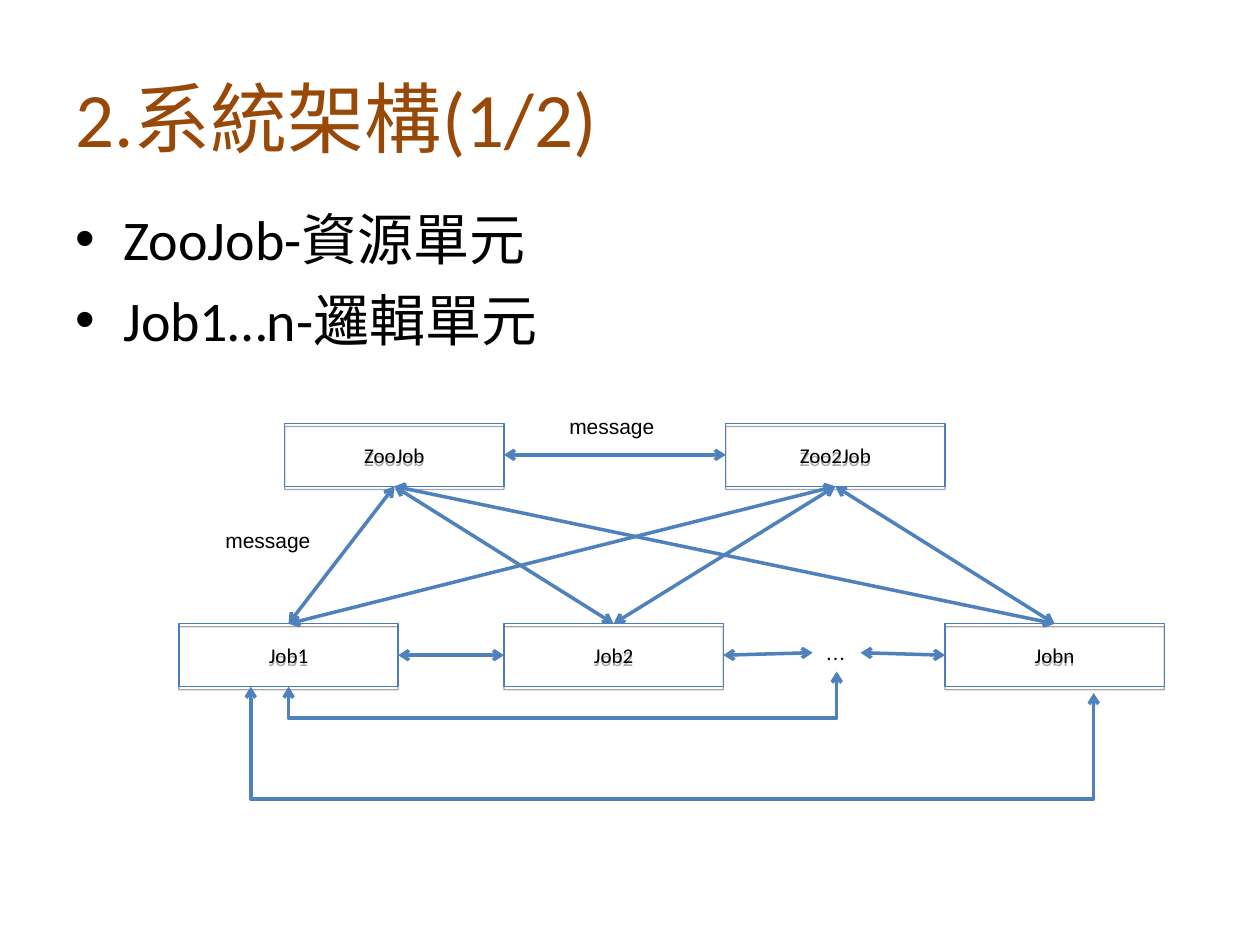
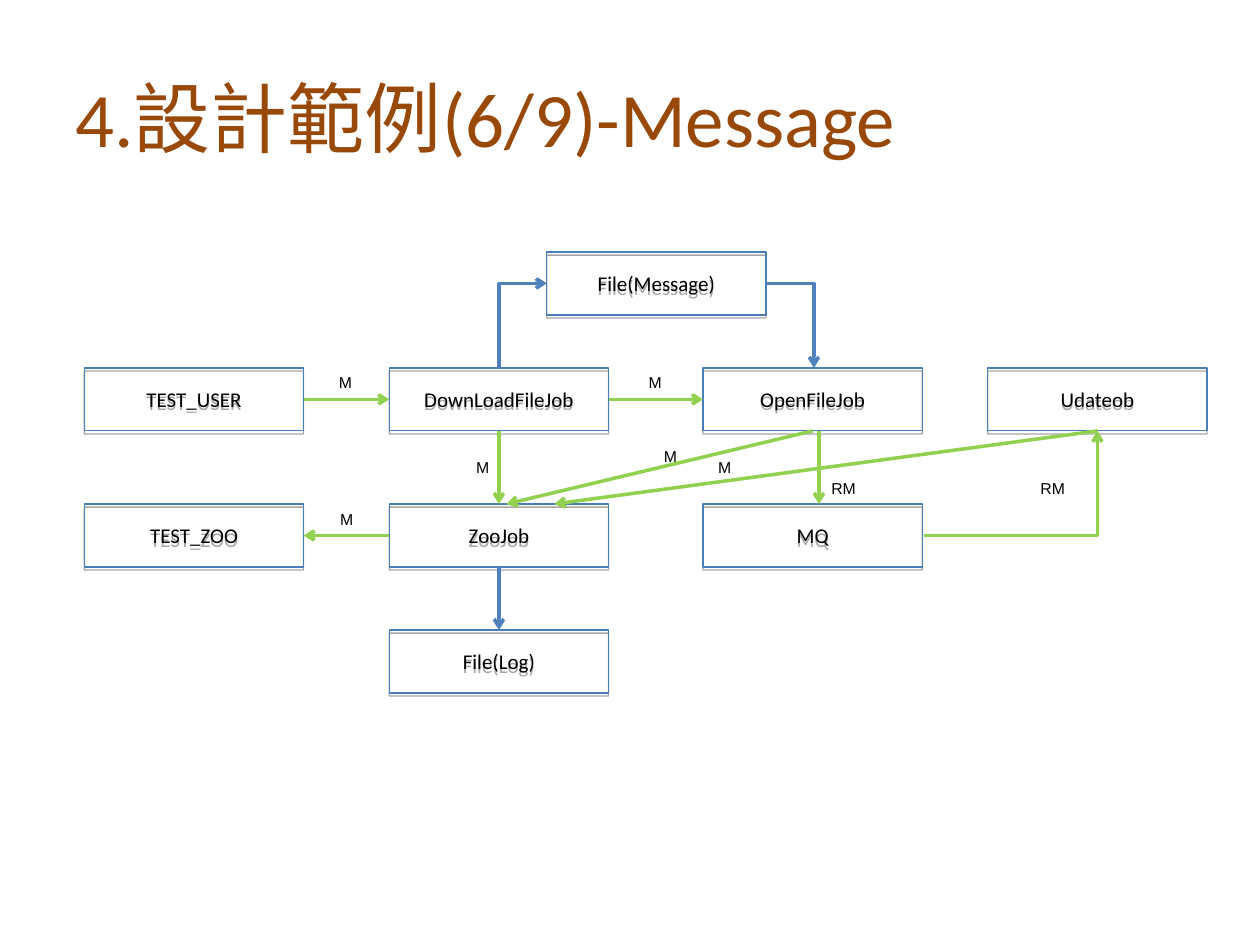
from lxml.etree import SubElement
from pptx import Presentation
from pptx.dml.color import RGBColor
from pptx.enum.shapes import MSO_CONNECTOR, MSO_SHAPE
from pptx.enum.text import MSO_ANCHOR, PP_ALIGN
from pptx.oxml.ns import qn
from pptx.util import Inches, Pt

BROWN = RGBColor(0x98, 0x48, 0x07)
BLACK = RGBColor(0, 0, 0)
EDGE = RGBColor(0x4A, 0x7E, 0xBB)
BLUE = RGBColor(0x4F, 0x81, 0xBD)
GREEN = RGBColor(0x92, 0xD0, 0x50)
BOX_W, BOX_H = 1.74, 0.5
TOP, LEFT, BOTTOM, RIGHT = range(4)


def style(para, size, color=BLACK, face="Calibri"):
    font = para.font
    font.size, font.name = Pt(size), face
    font.color.rgb = color


def add_text(slide, text, x, y, w, h, wrap=True):
    area = slide.shapes.add_textbox(Inches(x), Inches(y), Inches(w), Inches(h))
    frame = area.text_frame
    frame.word_wrap = wrap
    frame.text = text
    return frame


def add_page(deck, title):
    slide = deck.slides.add_slide(deck.slide_layouts[6])
    frame = add_text(slide, title, 0.5, 0.3, 9, 1.25)
    frame.vertical_anchor = MSO_ANCHOR.MIDDLE
    style(frame.paragraphs[0], 44, BROWN)
    return slide


def add_points(slide, lines):
    frame = add_text(slide, "\n".join(lines), 0.5, 1.57, 9, 4.25)
    for index, para in enumerate(frame.paragraphs):
        if index:
            para.space_before = Pt(8)
        props = para._p.get_or_add_pPr()
        props.set("marL", str(Inches(0.38)))
        props.set("indent", str(-Inches(0.38)))
        SubElement(props, qn("a:buFont")).set("typeface", "Arial")
        SubElement(props, qn("a:buChar")).set("char", "•")
        style(para, 32)


def add_label(slide, text, x, y, w, h=0.25, size=9):
    frame = add_text(slide, text, x, y, w, h, False)
    style(frame.paragraphs[0], size, face="Arial")


def add_box(slide, text, x, y):
    box = slide.shapes.add_shape(
        MSO_SHAPE.RECTANGLE, Inches(x), Inches(y), Inches(BOX_W), Inches(BOX_H))
    box.fill.background()
    box.line.color.rgb = EDGE
    box.line.width = Pt(0.75)
    box.shadow.inherit = False
    effects = box._element.spPr.find(qn("a:effectLst"))
    shade = SubElement(effects, qn("a:outerShdw"), dist=str(Pt(1.8)),
                       dir="5400000", rotWithShape="0")
    tint = SubElement(shade, qn("a:srgbClr"), val="000000")
    SubElement(tint, qn("a:alpha"), val="35000")
    frame = box.text_frame
    frame.text = text
    frame.vertical_anchor = MSO_ANCHOR.MIDDLE
    para = frame.paragraphs[0]
    para.alignment = PP_ALIGN.CENTER
    style(para, 12)
    return box


def add_boxes(slide, spots):
    return [add_box(slide, *spot) for spot in spots]


def add_line(slide, kind, ends, color, both):
    line = slide.shapes.add_connector(kind, *[Inches(value) for value in ends])
    line.line.color.rgb = color
    line.line.width = Pt(2)
    stroke = line.line._get_or_add_ln()
    if both:
        SubElement(stroke, qn("a:headEnd"), type="arrow")
    SubElement(stroke, qn("a:tailEnd"), type="arrow")
    SubElement(line._element.spPr, qn("a:effectLst"))
    return line


def add_link(slide, start, end, color=BLUE, both=False):
    line = add_line(slide, MSO_CONNECTOR.STRAIGHT, (0, 0, 1, 1), color, both)
    if isinstance(start[0], float):
        line.begin_x, line.begin_y = Inches(start[0]), Inches(start[1])
    else:
        line.begin_connect(*start)
    if isinstance(end[0], float):
        line.end_x, line.end_y = Inches(end[0]), Inches(end[1])
    else:
        line.end_connect(*end)


def add_elbow(slide, start, end, color=BLUE, upright=False, depth=None):
    (x1, y1), (x2, y2) = start, end
    wide, high = x2 - x1, abs(y2 - y1)
    rise = y1 > y2
    if upright:
        wide, high = high, wide
    left, top = (x1 + x2 - wide) / 2, (y1 + y2 - high) / 2
    line = add_line(slide, MSO_CONNECTOR.ELBOW,
                    (left, top, left + wide, top + high), color, depth is not None)
    props = line._element.spPr
    frame = props.find(qn("a:xfrm"))
    if upright:
        frame.set("rot", str((90 if rise else 270) * 60000))
        frame.set("flipH", "1")
    if rise:
        frame.set("flipV", "1")
    shape = props.find(qn("a:prstGeom"))
    if depth is None:
        shape.set("prst", "bentConnector2")
    else:
        bend = round((depth - y1) / (y2 - y1) * 100000)
        SubElement(shape.find(qn("a:avLst")), qn("a:gd"),
                   name="adj1", fmla=f"val {bend}")


def draw_system(deck):
    slide = add_page(deck, "2.系統架構(1/2)")
    add_points(slide, ["ZooJob-資源單元", "Job1…n-邏輯單元"])
    zoos = add_boxes(slide, [("ZooJob", 2.26, 3.36), ("Zoo2Job", 5.76, 3.36)])
    jobs = add_boxes(slide, [
        ("Job1", 1.42, 4.95), ("Job2", 4, 4.95), ("Jobn", 7.5, 4.95)])
    add_label(slide, "…", 6.45, 5.03, 0.38, 0.3, 12)
    for zoo in zoos:
        for job in jobs:
            add_link(slide, (job, TOP), (zoo, BOTTOM), both=True)
    for start, end in [
        ((zoos[0], RIGHT), (zoos[1], LEFT)),
        ((jobs[0], RIGHT), (jobs[1], LEFT)),
        ((jobs[1], RIGHT), (6.45, 5.18)),
        ((6.83, 5.18), (jobs[2], LEFT)),
    ]:
        add_link(slide, start, end, both=True)
    add_elbow(slide, (2.29, 5.45), (6.64, 5.33), upright=True, depth=5.7)
    add_elbow(slide, (1.99, 5.45), (8.68, 5.5), upright=True, depth=6.34)
    for x, y in [(4.42, 3.23), (1.69, 4.14)]:
        add_label(slide, "message", x, y, 0.9, 0.3, 12)


def draw_message(deck):
    slide = add_page(deck, "4.設計範例(6/9)-Message")
    cols, rows = (0.67, 3.09, 5.58, 7.84), (2.92, 4)
    user, load, opener, update = add_boxes(slide, [
        (name, x, rows[0]) for name, x in
        zip(("TEST_USER", "DownLoadFileJob", "OpenFileJob", "Udateob"), cols)])
    test, zoo, queue = add_boxes(slide, [
        (name, x, rows[1]) for name, x in zip(("TEST_ZOO", "ZooJob", "MQ"), cols)])
    add_box(slide, "File(Message)", 4.34, 2)
    log = add_box(slide, "File(Log)", cols[1], 5)
    for start, end in [
        ((user, RIGHT), (load, LEFT)),
        ((load, RIGHT), (opener, LEFT)),
        ((load, BOTTOM), (zoo, TOP)),
        ((zoo, LEFT), (test, RIGHT)),
        ((6.5, 3.42), (6.5, 4.0)),
        ((opener, BOTTOM), (4.02, 4.0)),
        ((update, BOTTOM), (4.4, 4.0)),
    ]:
        add_link(slide, start, end, GREEN)
    add_link(slide, (zoo, BOTTOM), (log, TOP))
    add_elbow(slide, (3.96, 2.92), (4.34, 2.25), upright=True)
    add_elbow(slide, (6.08, 2.25), (6.46, 2.92))
    add_elbow(slide, (7.33, 4.25), (8.71, 3.42), GREEN)
    for x, y in [(2.59, 2.91), (5.05, 2.91), (3.68, 3.58),
                 (5.6, 3.58), (2.6, 4), (5.17, 3.5)]:
        add_label(slide, "M", x, y, 0.32)
    for x in (6.5, 8.16):
        add_label(slide, "RM", x, 3.75, 0.4)


def main():
    deck = Presentation()
    deck.slide_width, deck.slide_height = Inches(10), Inches(7.5)
    draw_system(deck)
    draw_message(deck)
    deck.save("out.pptx")


if __name__ == "__main__":
    main()
